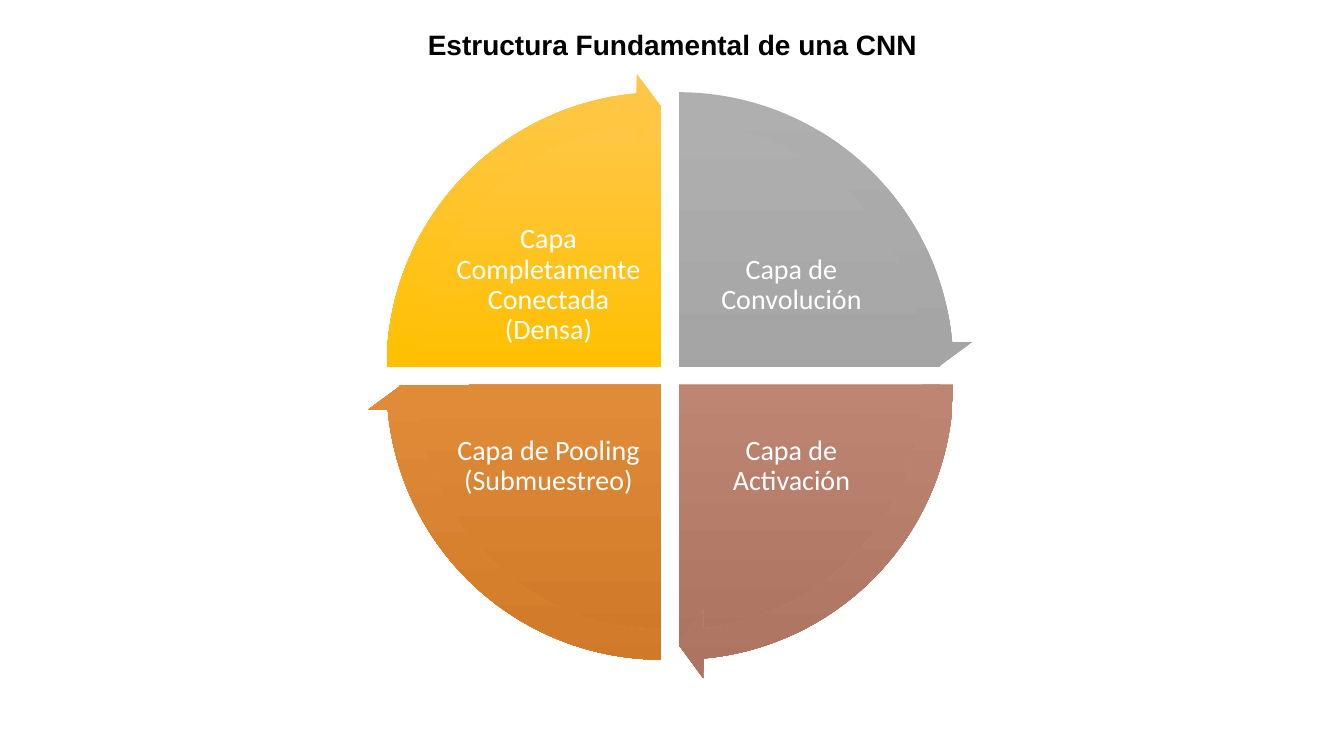
from copy import deepcopy
from dataclasses import dataclass

from pptx import Presentation, util as u
from pptx.dml.color import RGBColor
from pptx.enum import shapes, text
from pptx.oxml.ns import qn

WIDTH, HEIGHT = u.Inches(13.33), u.Inches(7.5)
BLACK = RGBColor(0x00, 0x00, 0x00)
WHITE = RGBColor(0xFF, 0xFF, 0xFF)
GREY = (RGBColor(0xAF, 0xAF, 0xAF), RGBColor(0xA5, 0xA5, 0xA5), RGBColor(0x93, 0x93, 0x93))
ROSE = (RGBColor(0xC2, 0x95, 0x87), RGBColor(0xBE, 0x85, 0x73), RGBColor(0xAD, 0x74, 0x62))
ORANGE = (RGBColor(0xDE, 0x93, 0x5E), RGBColor(0xE0, 0x8B, 0x38), RGBColor(0xD0, 0x7A, 0x29))
YELLOW = (RGBColor(0xFF, 0xC7, 0x4B), RGBColor(0xFF, 0xC0, 0x00), RGBColor(0xE3, 0xAB, 0x00))

FULL_TURN, QUARTER, ARROW_SWEEP = 216, 54, 50.725
PIE_SIZE = (39.01, 69.33)
ARROW_SIZE = (43.81, 77.87)
LABEL_SIZE = (14.4, 18.93)
CENTRE_X, CENTRE_Y = (49.21, 50.49), (48.53, 50.93)
LABEL_X, LABEL_Y = (40.81, 58.89), (37.73, 61.73)


@dataclass(frozen=True)
class Layer:
    label: str
    col: int
    row: int
    start: int
    colors: tuple[RGBColor, ...]


LAYERS = [
    Layer("Capa de Convolución", 1, 0, 162, GREY),
    Layer("Capa de Activación", 1, 1, 0, ROSE),
    Layer("Capa de Pooling (Submuestreo)", 0, 1, 54, ORANGE),
    Layer("Capa Completamente Conectada (Densa)", 0, 0, 108, YELLOW),
]


def centred_box(cx: float, cy: float, w: float, h: float) -> tuple[int, int, int, int]:
    return (int(WIDTH * (cx - w / 2) / 100), int(HEIGHT * (cy - h / 2) / 100),
            int(WIDTH * w / 100), int(HEIGHT * h / 100))


def add_sector(s, kind, layer: Layer, size: tuple[float, float], adjustments: list[float]) -> None:
    sp = s.shapes.add_shape(
        kind, *centred_box(CENTRE_X[layer.col], CENTRE_Y[layer.row], *size))
    sp.shadow.inherit = False
    sp.line.fill.background()
    for i, value in enumerate(adjustments):
        sp.adjustments[i] = value
    sp.fill.gradient()
    sp.fill.gradient_angle = 270
    stops = next(sp._element.spPr.iter(qn("a:gsLst")))
    stops.append(deepcopy(stops[0]))
    for stop, position, color in zip(sp.fill.gradient_stops, (0, 0.5, 1), layer.colors):
        stop.position = position
        stop.color.rgb = color


def add_text(s, content: str, box: tuple[int, int, int, int], *, font: str, color: RGBColor,
             bold: bool = False, spacing: float = 1.0, inset: float | None = None,
             anchor=text.MSO_ANCHOR.TOP) -> None:
    tf = s.shapes.add_textbox(*box).text_frame
    tf.word_wrap = True
    tf.vertical_anchor = anchor
    if inset is not None:
        tf.margin_left = tf.margin_right = tf.margin_top = tf.margin_bottom = u.Inches(inset)
    p = tf.paragraphs[0]
    p.alignment = text.PP_ALIGN.CENTER
    p.line_spacing = spacing
    r = p.add_run()
    r.text = content
    r.font.name = font
    r.font.size = u.Pt(20)
    r.font.bold = bold
    r.font.color.rgb = color


def main() -> None:
    prs = Presentation()
    prs.slide_width, prs.slide_height = WIDTH, HEIGHT
    s = prs.slides.add_slide(prs.slide_layouts[6])
    for layer in LAYERS:
        add_sector(s, shapes.MSO_SHAPE.PIE, layer, PIE_SIZE,
                   [layer.start, (layer.start + QUARTER) % FULL_TURN])
        add_text(s, layer.label,
                 centred_box(LABEL_X[layer.col], LABEL_Y[layer.row], *LABEL_SIZE),
                 font="Calibri", color=WHITE, spacing=0.9, inset=0.03,
                 anchor=text.MSO_ANCHOR.MIDDLE)
    for layer in LAYERS:
        add_sector(s, shapes.MSO_SHAPE.CIRCULAR_ARROW, layer, ARROW_SIZE,
                   [0.051, 3.275, layer.start + ARROW_SWEEP, layer.start, 0.059])
    add_text(s, "Estructura Fundamental de una CNN", centred_box(50.04, 5.87, 69.02, 5.87),
             font="Arial", color=BLACK, bold=True)
    prs.save("out.pptx")


if __name__ == "__main__":
    main()
